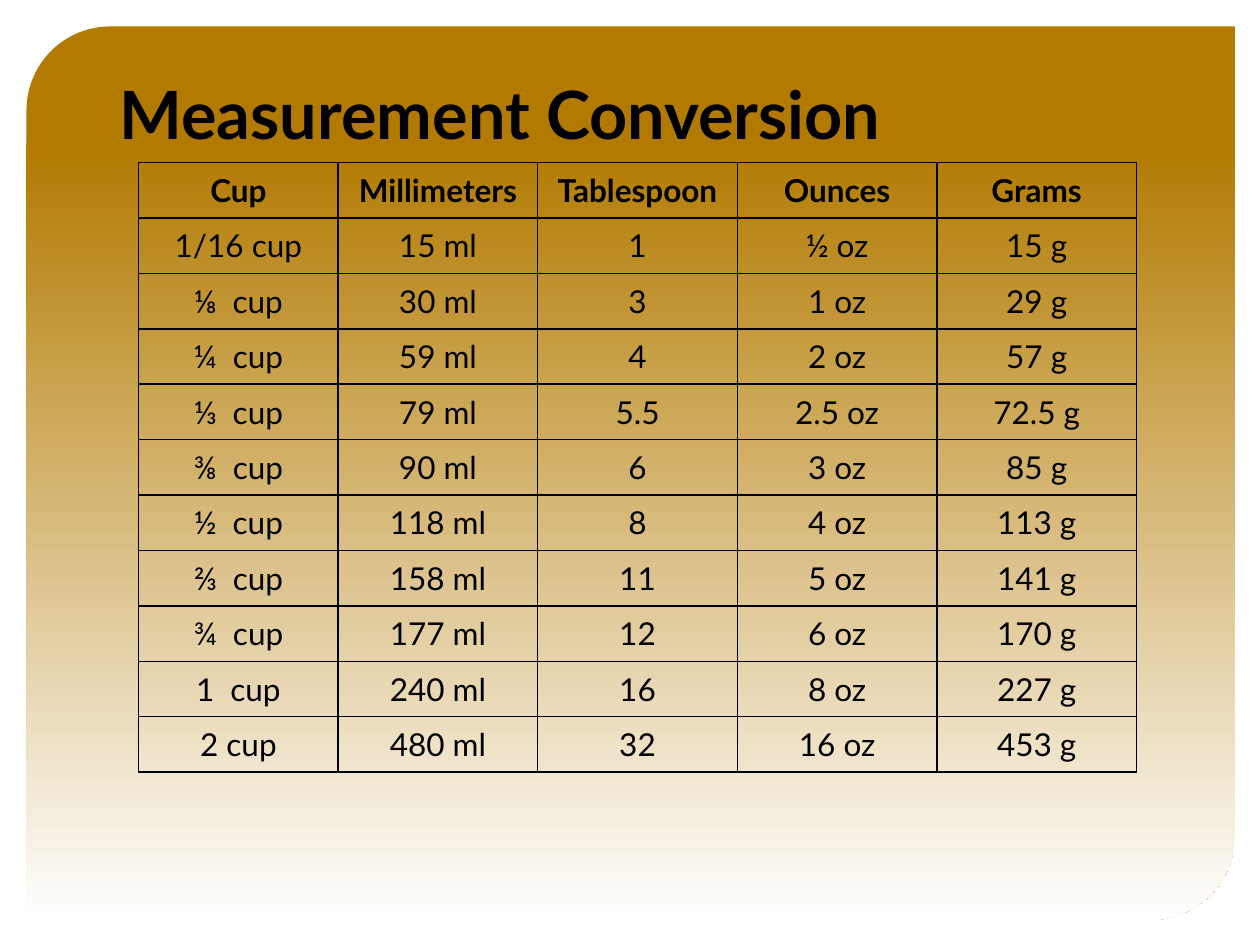
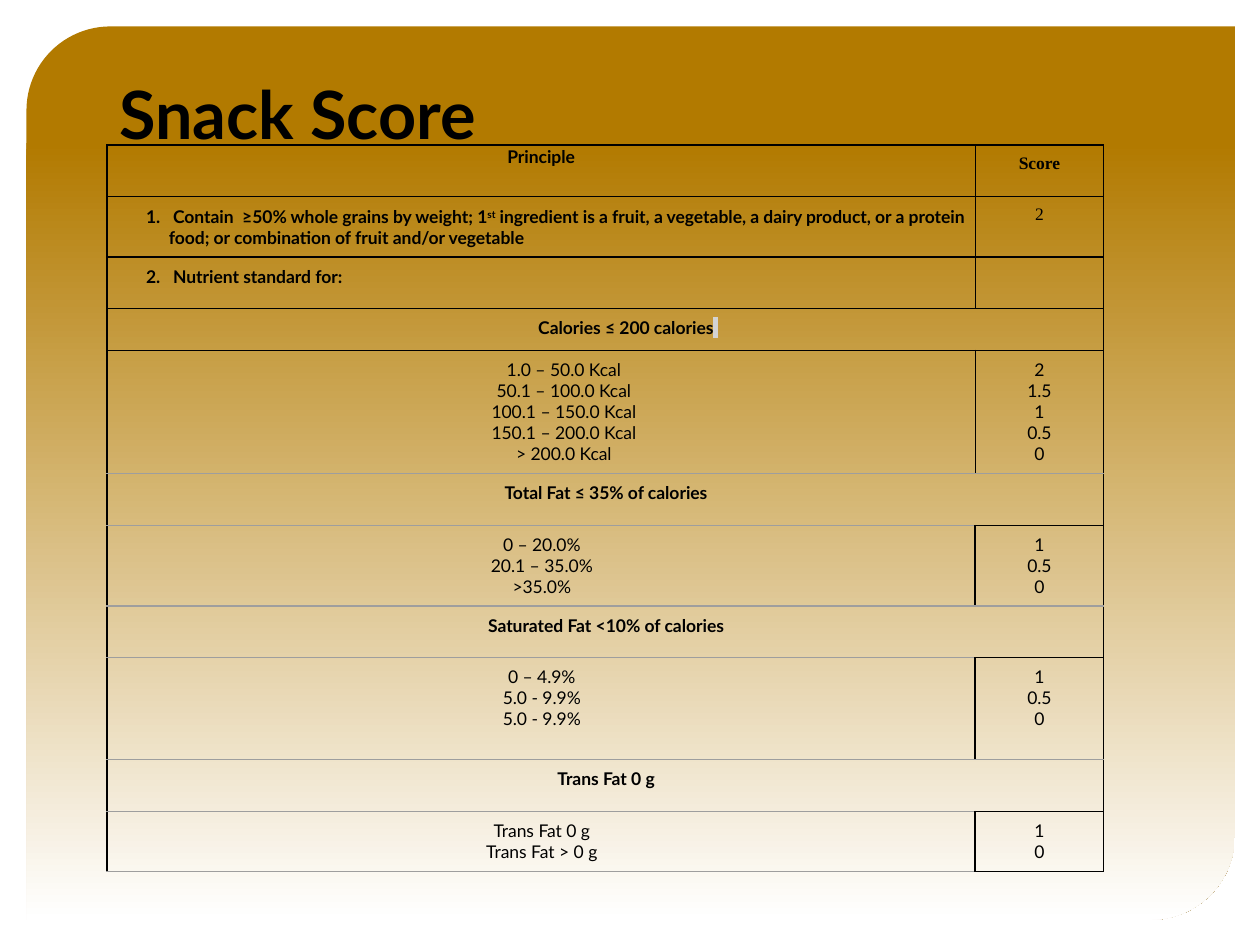
from copy import deepcopy

from lxml import etree
from pptx import Presentation
from pptx.dml.color import RGBColor
from pptx.enum import shapes, text
from pptx.oxml import ns
from pptx.util import Inches, Pt

BLACK = RGBColor(0x00, 0x00, 0x00)
WHITE = RGBColor(0xFF, 0xFF, 0xFF)
OCHRE = RGBColor(0xB2, 0x7A, 0x00)
GREY = RGBColor(0x9E, 0x9E, 0x9E)
HIGHLIGHT = RGBColor(0xD3, 0xD3, 0xD3)
BODY_FONT = "Lato"
SCORE_FONT = "Times New Roman"
PAD = 0.07
CENTER = text.PP_ALIGN.CENTER

CONVERSIONS = [
    ("Cup", "Millimeters", "Tablespoon", "Ounces", "Grams"),
    ("1/16 cup", "15 ml", "1", "½ oz", "15 g"),
    ("⅛  cup", "30 ml", "3", "1 oz", "29 g"),
    ("¼  cup", "59 ml", "4", "2 oz", "57 g"),
    ("⅓  cup", "79 ml", "5.5", "2.5 oz", "72.5 g"),
    ("⅜  cup", "90 ml", "6", "3 oz", "85 g"),
    ("½  cup", "118 ml", "8", "4 oz", "113 g"),
    ("⅔  cup", "158 ml", "11", "5 oz", "141 g"),
    ("¾  cup", "177 ml", "12", "6 oz", "170 g"),
    ("1  cup", "240 ml", "16", "8 oz", "227 g"),
    ("2 cup", "480 ml", "32", "16 oz", "453 g"),
]

PRINCIPLES = [
    (0.41, "Principle", "Score"),
    (0.48, "1.   Contain  ≥50% whole grains by weight; 1|st| ingredient is a fruit, a vegetable, "
           "a dairy product, or a protein food; or combination of fruit and/or vegetable", "2"),
    (0.41, "2.   Nutrient standard for:", ""),
]

NUTRIENTS = [
    (0.33, "Calories ≤ 200 calories", 0.98, 0.36,
     "1.0 – 50.0 Kcal\n50.1 – 100.0 Kcal\n100.1 – 150.0 Kcal\n150.1 – 200.0 Kcal\n> 200.0 Kcal",
     "2\n1.5\n1\n0.5\n0"),
    (0.41, "Total Fat ≤ 35% of calories", 0.64, 0.01,
     "0 – 20.0%\n20.1 – 35.0%\n>35.0%", "1\n0.5\n0"),
    (0.41, "Saturated Fat <10% of calories", 0.81, 0.01,
     "0 – 4.9%\n5.0 - 9.9%\n5.0 - 9.9%", "1\n0.5\n0"),
    (0.41, "Trans Fat 0 g", 0.48, 0.01, "Trans Fat 0 g\nTrans Fat > 0 g", "1\n0"),
]


def style_run(run, size, bold=False, font=BODY_FONT):
    """Set the font, size, weight and black colour of a run."""
    run.font.name = font
    run.font.size = Pt(size)
    run.font.bold = bold
    run.font.color.rgb = BLACK


def draw_panel(slide, left, top, width, height):
    """Draw the ochre panel that fades to white behind a slide."""
    panel = slide.shapes.add_shape(shapes.MSO_SHAPE.ROUND_2_DIAG_RECTANGLE,
                                   Inches(left), Inches(top), Inches(width), Inches(height))
    panel.adjustments[0] = 0.094
    panel.shadow.inherit = False
    panel.line.fill.background()
    panel.fill.gradient()
    panel.fill.gradient_angle = 270
    stop_list = panel._element.spPr.find(".//" + ns.qn("a:gsLst"))
    stop_list.append(deepcopy(stop_list[0]))
    fade = [(0, OCHRE), (0.13, OCHRE), (1, WHITE)]
    for stop, (position, color) in zip(panel.fill.gradient_stops, fade):
        stop.position = position
        stop.color.rgb = color


def draw_title(slide, title, left, top, width, height):
    """Write the bold title at the bottom of its box."""
    box = slide.shapes.add_textbox(Inches(left), Inches(top), Inches(width), Inches(height))
    frame = box.text_frame
    frame.word_wrap = True
    frame.vertical_anchor = text.MSO_ANCHOR.BOTTOM
    frame.margin_left = frame.margin_right = Inches(0.1)
    frame.margin_top = frame.margin_bottom = Inches(0.1)
    frame.text = title
    style_run(frame.paragraphs[0].runs[0], 38, bold=True)


def start_slide(deck, title):
    """Add a blank slide with the shared panel and title."""
    slide = deck.slides.add_slide(deck.slide_layouts[6])
    draw_panel(slide, 0.21, 0.21, 9.59, 7.09)
    draw_title(slide, title, 0.85, 0.17, 8.29, 1.14)
    return slide


def add_grid(slide, left, top, widths, heights):
    """Add an unstyled table with the given column widths and row heights."""
    grid = slide.shapes.add_table(len(heights), len(widths), Inches(left), Inches(top),
                                  Inches(sum(widths)), Inches(sum(heights))).table
    grid.first_row = grid.horz_banding = False
    for column, width in zip(grid.columns, widths):
        column.width = Inches(width)
    for row, height in zip(grid.rows, heights):
        row.height = Inches(height)
    return grid


def set_borders(cell, left=(BLACK, 1), right=(BLACK, 1), top=(BLACK, 1), bottom=(BLACK, 1)):
    """Rule the four sides of a cell and clear its fill."""
    properties = cell._tc.get_or_add_tcPr()
    for side, (color, width) in zip("LRTB", (left, right, top, bottom)):
        line = etree.SubElement(properties, ns.qn("a:ln" + side), w=str(Pt(width)))
        solid = etree.SubElement(line, ns.qn("a:solidFill"))
        etree.SubElement(solid, ns.qn("a:srgbClr"), val=str(color))
    cell.fill.background()


def fill_cell(cell, content, size=10, bold=False, font=BODY_FONT, align=CENTER,
              indent=0, hanging=0, pad=PAD):
    """Write lines into a cell; text between bars is raised."""
    cell.margin_left = cell.margin_right = Inches(pad)
    cell.margin_top = cell.margin_bottom = Inches(pad)
    cell.text_frame.text = content.replace("|", "")
    for paragraph in cell.text_frame.paragraphs:
        paragraph.alignment = align
        properties = paragraph._p.get_or_add_pPr()
        properties.set("marL", str(Inches(indent)))
        properties.set("indent", str(Inches(hanging)))
        if "|" in content:
            paragraph.clear()
            for index, part in enumerate(content.split("|")):
                run = paragraph.add_run()
                run.text = part
                if index % 2:
                    run.font._element.set("baseline", "30000")
        for run in paragraph.runs:
            style_run(run, size, bold, font)


def add_highlighted_space(paragraph):
    """End a paragraph with one highlighted space."""
    space = paragraph.add_run()
    space.text = " "
    style_run(space, 10)
    highlight = etree.Element(ns.qn("a:highlight"))
    etree.SubElement(highlight, ns.qn("a:srgbClr"), val=str(HIGHLIGHT))
    space.font._element.find(ns.qn("a:solidFill")).addnext(highlight)


def draw_conversions(slide, left, top, width, row_height):
    """Draw the table of equal measures."""
    columns = len(CONVERSIONS[0])
    grid = add_grid(slide, left, top, [width / columns] * columns,
                    [row_height] * len(CONVERSIONS))
    for r, measures in enumerate(CONVERSIONS):
        for c, measure in enumerate(measures):
            fill_cell(grid.cell(r, c), measure, size=18, bold=r == 0)
            set_borders(grid.cell(r, c))


def draw_principles(grid):
    """Fill the heading and the numbered principles of the score table."""
    thin = (BLACK, 0.75)
    for r, (_, principle, score) in enumerate(PRINCIPLES):
        label, points = grid.cell(r, 0), grid.cell(r, 1)
        if r == 0:
            fill_cell(label, principle, bold=True, pad=0.01)
        else:
            fill_cell(label, principle, bold=True, align=text.PP_ALIGN.LEFT,
                      indent=0.42, hanging=-0.18)
        fill_cell(points, score, bold=r == 0, font=SCORE_FONT, pad=PAD if score else 0.01)
        edge = (BLACK, 1) if r == 0 else thin
        set_borders(label, right=thin, top=edge, bottom=thin)
        set_borders(points, left=thin, top=edge, bottom=thin)
    grid.cell(1, 0).vertical_anchor = text.MSO_ANCHOR.BOTTOM


def draw_nutrients(grid, first_row):
    """Fill each nutrient's merged heading and the scores below it."""
    thin, pale = (BLACK, 0.75), (GREY, 0.75)
    for index, (_, heading, _, indent, ranges, scores) in enumerate(NUTRIENTS):
        r = first_row + 2 * index
        rule = pale if index else thin
        title, label, points = grid.cell(r, 0), grid.cell(r + 1, 0), grid.cell(r + 1, 1)
        title.merge(grid.cell(r, 1))
        fill_cell(title, heading, bold=True, indent=indent)
        for part in (title, grid.cell(r, 1)):
            set_borders(part, top=rule, bottom=rule)
        fill_cell(label, ranges, indent=indent)
        fill_cell(points, scores)
        divider = (BLACK, 1) if index else thin
        set_borders(label, right=divider, top=rule, bottom=pale)
        set_borders(points, left=divider, top=thin, bottom=thin)
    add_highlighted_space(grid.cell(first_row, 0).text_frame.paragraphs[0])


def draw_scores(slide, left, top):
    """Draw the snack score table."""
    heights = [row[0] for row in PRINCIPLES]
    for nutrient in NUTRIENTS:
        heights += [nutrient[0], nutrient[2]]
    grid = add_grid(slide, left, top, [6.89, 1.02], heights)
    draw_principles(grid)
    draw_nutrients(grid, len(PRINCIPLES))


def main():
    """Build and save both slides."""
    deck = Presentation()
    deck.slide_width, deck.slide_height = Inches(10), Inches(7.5)
    draw_conversions(start_slide(deck, "Measurement Conversion"), 1.1, 1.29, 7.92, 0.44)
    draw_scores(start_slide(deck, "Snack Score"), 0.85, 1.15)
    deck.save("out.pptx")


if __name__ == "__main__":
    main()
